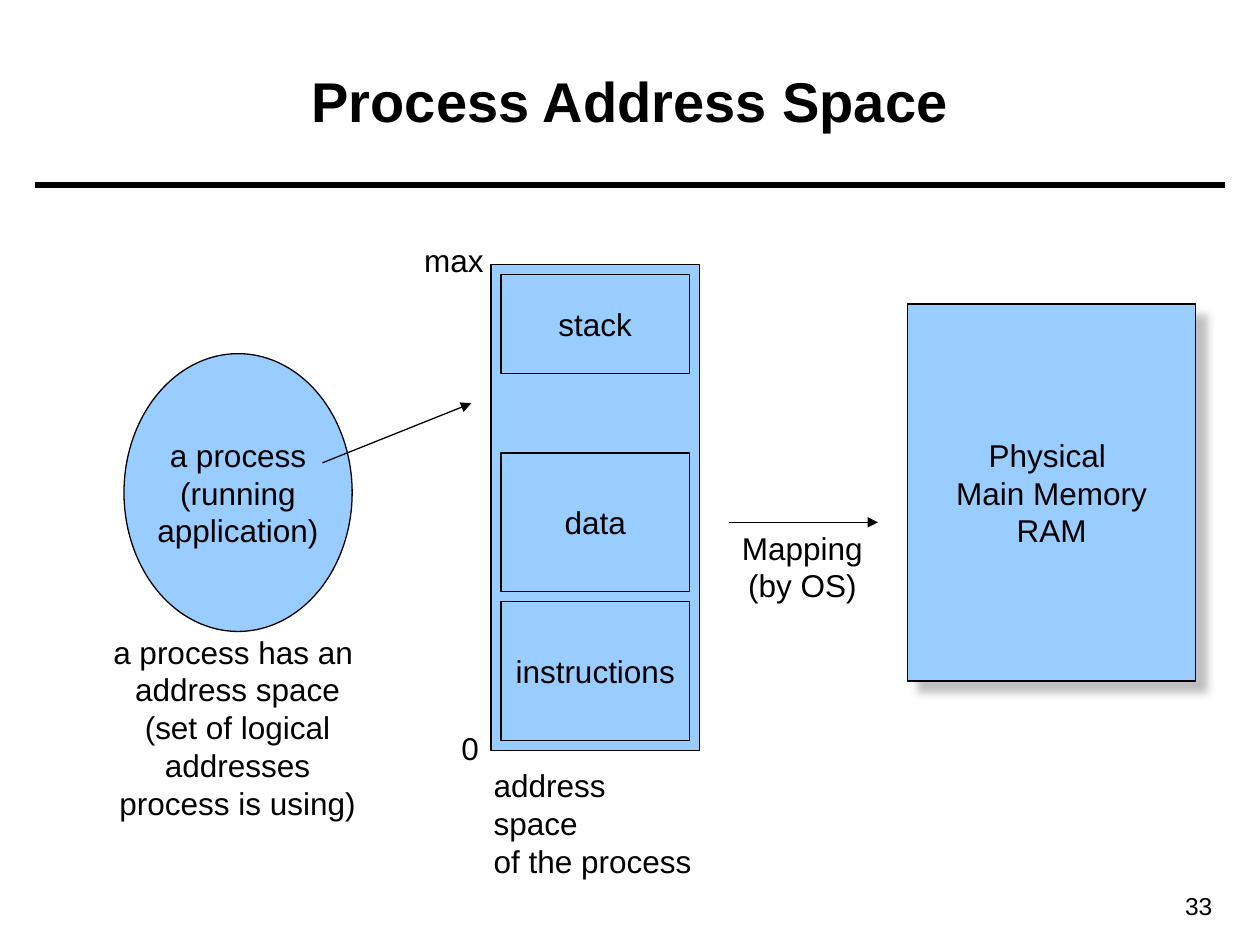
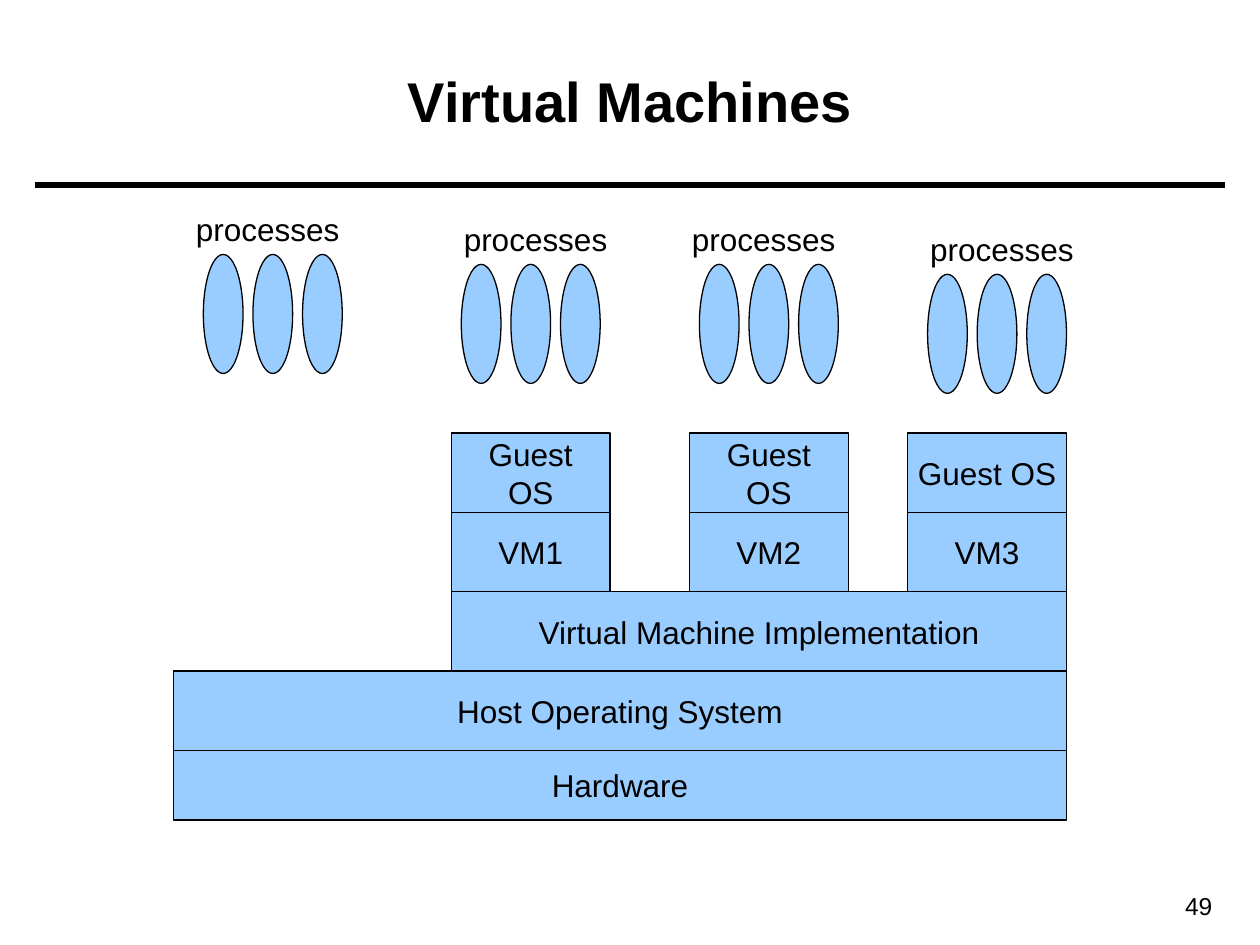
from dataclasses import dataclass

from lxml import etree
from pptx import Presentation
from pptx import util as u
from pptx.dml.color import RGBColor
from pptx.enum import shapes, text
from pptx.oxml import ns

BLACK, SKY, GREY = "000000", "99CCFF", "808080"
RECT, OVAL = shapes.MSO_SHAPE.RECTANGLE, shapes.MSO_SHAPE.OVAL
LEFT, CENTER, RIGHT = text.PP_ALIGN.LEFT, text.PP_ALIGN.CENTER, text.PP_ALIGN.RIGHT
TITLE_FONT = {"name": "Arial", "size": u.Pt(32), "bold": True}
BODY_FONT = {"name": "Arial", "size": u.Pt(18), "bold": False}
NUMBER_FONT = {"name": "Arial", "size": u.Pt(14), "bold": False}
BLOCK_FRAME = {"word_wrap": False, "vertical_anchor": text.MSO_ANCHOR.MIDDLE}
LABEL_FRAME = {"word_wrap": False, "auto_size": text.MSO_AUTO_SIZE.SHAPE_TO_FIT_TEXT}
NUMBER_FRAME = {"word_wrap": True}
TITLE_FRAME = {"word_wrap": True, "vertical_anchor": text.MSO_ANCHOR.MIDDLE}


@dataclass(frozen=True)
class Block:
    left: float
    top: float
    width: float
    height: float
    words: str = ""
    preset: int = RECT
    shadow: bool = False


@dataclass(frozen=True)
class Label:
    left: float
    top: float
    width: float
    height: float
    words: str
    align: int = LEFT


@dataclass(frozen=True)
class Line:
    x1: float
    y1: float
    x2: float
    y2: float
    weight: float = 0.75
    arrow: bool = True


def rgb(value: str) -> RGBColor:
    return RGBColor.from_string(value)


def cm(*lengths: float) -> list:
    return [u.Cm(length) for length in lengths]


def apply(target, values: dict) -> None:
    for name, value in values.items():
        setattr(target, name, value)


def write(tf, words: str, align: int, font: dict, frame: dict) -> None:
    apply(tf, frame)
    tf.text = words
    for p in tf.paragraphs:
        p.alignment = align
        for r in p.runs:
            apply(r.font, font)
            r.font.color.rgb = rgb(BLACK)


def add_shadow(sp) -> None:
    effects = sp._element.spPr.find(ns.qn("a:effectLst"))
    outer = etree.SubElement(effects, ns.qn("a:outerShdw"), blurRad=str(u.Pt(5)),
                             dist=str(u.Pt(8.5)), dir="2700000", algn="tl", rotWithShape="0")
    color = etree.SubElement(outer, ns.qn("a:srgbClr"), val=GREY)
    etree.SubElement(color, ns.qn("a:alpha"), val="50000")


def draw_block(s, block: Block) -> None:
    sp = s.shapes.add_shape(block.preset, *cm(block.left, block.top, block.width, block.height))
    sp.shadow.inherit = False
    sp.fill.solid()
    sp.fill.fore_color.rgb = rgb(SKY)
    sp.line.color.rgb = rgb(BLACK)
    sp.line.width = u.Pt(0.75)
    if block.shadow:
        add_shadow(sp)
    if block.words:
        write(sp.text_frame, block.words, CENTER, BODY_FONT, BLOCK_FRAME)


def draw_label(s, label: Label, font: dict = BODY_FONT, frame: dict = LABEL_FRAME) -> None:
    sp = s.shapes.add_textbox(*cm(label.left, label.top, label.width, label.height))
    write(sp.text_frame, label.words, label.align, font, frame)


def draw_line(s, line: Line) -> None:
    sp = s.shapes.add_connector(shapes.MSO_CONNECTOR.STRAIGHT,
                                *cm(line.x1, line.y1, line.x2, line.y2))
    sp.line.color.rgb = rgb(BLACK)
    sp.line.width = u.Pt(line.weight)
    if line.arrow:
        etree.SubElement(sp.line._get_or_add_ln(), ns.qn("a:tailEnd"), type="triangle")
    etree.SubElement(sp._element.spPr, ns.qn("a:effectLst"))


def start_slide(prs, title: str, number: int):
    s = prs.slides.add_slide(prs.slide_layouts[5])
    box = dict(zip(("left", "top", "width", "height"), cm(0.9, 0.43, 23.6, 3.18)))
    apply(s.shapes.title, box)
    write(s.shapes.title.text_frame, title, CENTER, TITLE_FONT, TITLE_FRAME)
    draw_line(s, Line(0.7, 3.73, 24.7, 3.73, weight=3, arrow=False))
    draw_label(s, Label(22.05, 17.83, 2.64, 0.86, str(number), RIGHT), NUMBER_FONT, NUMBER_FRAME)
    return s


def draw_all(s, items: list) -> None:
    painters = {Block: draw_block, Label: draw_label, Line: draw_line}
    for item in items:
        painters[type(item)](s, item)


def address_space_items() -> list:
    segments = [("stack", 5.53, 2), ("data", 9.13, 2.8), ("instructions", 12.13, 2.8)]
    return [
        Block(2.5, 7.13, 4.6, 5.6, "a process\n(running\vapplication)", OVAL),
        Block(9.9, 5.33, 4.2, 9.8),
        *[Block(10.1, top, 3.8, height, name) for name, top, height in segments],
        Block(18.3, 6.13, 5.8, 7.6, "Physical \nMain Memory\nRAM", shadow=True),
        Line(6.5, 9.33, 9.5, 8.13),
        Line(14.7, 10.53, 17.7, 10.53),
        Label(9.7, 15.32, 4.62, 1.78, "address space\nof the process"),
        Label(14.7, 10.53, 2.95, 1.78, "Mapping\n(by OS)", CENTER),
        Label(9.05, 14.57, 0.86, 1.02, "0"),
        Label(8.3, 4.73, 1.7, 1.02, "max"),
        Label(1.12, 12.63, 7.34, 3.3,
              "a process has an \naddress space\n(set of logical addresses\vprocess is using)", CENTER),
    ]


def virtual_machine_items() -> list:
    layer = 1.6
    host_top = 13.53
    vm_top = host_top - 2 * layer
    items = [
        Block(3.5, host_top + layer, 18, 1.4, "Hardware"),
        Block(3.5, host_top, 18, layer, "Host Operating System"),
        Block(9.1, host_top - layer, 12.4, layer, "Virtual Machine Implementation"),
    ]
    guests = [(9.1, "Guest\vOS"), (13.9, "Guest\vOS"), (18.3, "Guest OS")]
    for number, (left, guest) in enumerate(guests, 1):
        items.append(Block(left, vm_top, 3.2, layer, f"VM{number}"))
        items.append(Block(left, vm_top - layer, 3.2, layer, guest))
    process_groups = [(4.1, 5.13, 3.7), (9.3, 5.33, 9.1), (14.1, 5.33, 13.7), (18.7, 5.53, 18.5)]
    for left, top, label_left in process_groups:
        items += [Block(left + i, top, 0.8, 2.4, preset=OVAL) for i in range(3)]
        items.append(Label(label_left, top - 1.02, 3.4, 1.02, "processes"))
    return items


def main() -> None:
    prs = Presentation()
    prs.slide_width, prs.slide_height = cm(25.4, 19.05)
    draw_all(start_slide(prs, "Process Address Space", 33), address_space_items())
    draw_all(start_slide(prs, "Virtual Machines", 49), virtual_machine_items())
    prs.save("out.pptx")


if __name__ == "__main__":
    main()
